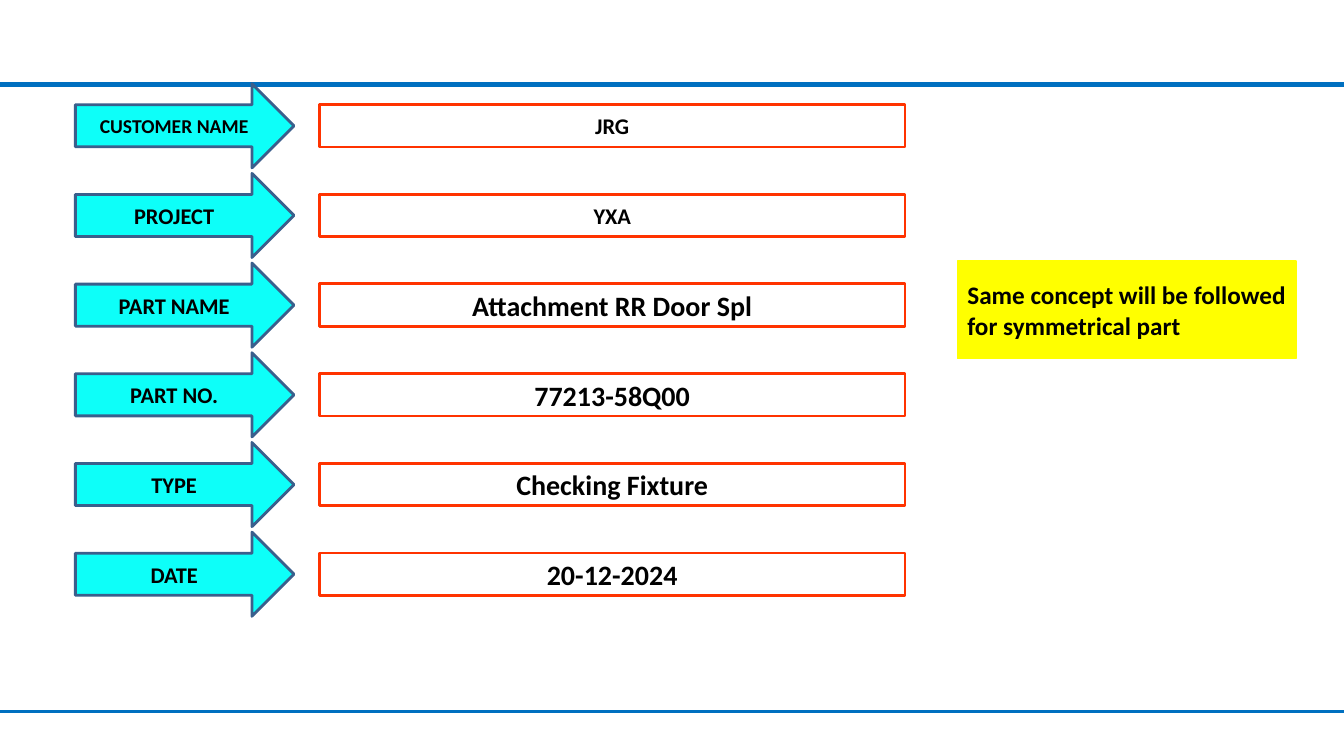
import pptx
import pptx.util
import pptx.dml.color
import pptx.enum.shapes
import pptx.enum.text
import pptx.oxml

Cm = pptx.util.Cm
Pt = pptx.util.Pt
Shapes = pptx.enum.shapes.MSO_SHAPE
Align = pptx.enum.text.PP_ALIGN

SLIDE_WIDTH, SLIDE_HEIGHT = 33.87, 19.05
ROW_PITCH = 2.26
ARROW_WIDTH, ARROW_HEIGHT = 5.51, 2.12
VALUE_INDENT, VALUE_HEIGHT = 6.15, 1.07
DETAILS = [
    ("CUSTOMER NAME", 14, "JRG", 16),
    ("PROJECT", 16, "YXA", 16),
    ("PART NAME", 16, "Attachment RR Door Spl", 20),
    ("PART NO.", 16, "77213-58Q00", 20),
    ("TYPE", 16, "Checking Fixture", 20),
    ("DATE", 16, "20-12-2024", 20),
]


def color(value):
    return pptx.dml.color.RGBColor.from_string(value)


def add_rule(slide, top, weight):
    rule = slide.shapes.add_connector(
        pptx.enum.shapes.MSO_CONNECTOR.STRAIGHT,
        Cm(0), Cm(top), Cm(SLIDE_WIDTH), Cm(top))
    rule.line.color.rgb = color("0070C0")
    rule.line.width = Pt(weight)
    rule._element.spPr.append(pptx.oxml.parse_xml(
        '<a:effectLst xmlns:a="http://schemas.openxmlformats.org/drawingml/2006/main"/>'))


def add_box(slide, kind, box, text, size, fill, line, weight, align=Align.CENTER):
    shape = slide.shapes.add_shape(kind, *(Cm(length) for length in box))
    shape.shadow.inherit = False
    if fill:
        shape.fill.solid()
        shape.fill.fore_color.rgb = color(fill)
    else:
        shape.fill.background()
    shape.line.color.rgb = color(line)
    shape.line.width = Pt(weight)
    frame = shape.text_frame
    frame.word_wrap = True
    frame.vertical_anchor = pptx.enum.text.MSO_ANCHOR.MIDDLE
    para = frame.paragraphs[0]
    para.text = text
    para.alignment = align
    para.font.name = "Calibri"
    para.font.size = Pt(size)
    para.font.bold = True
    para.font.color.rgb = color("000000")
    return shape


def add_details(slide, left, top, width):
    value_left = left + VALUE_INDENT
    value_width = width - VALUE_INDENT
    value_offset = (ARROW_HEIGHT - VALUE_HEIGHT) / 2
    for index, (label, label_size, value, value_size) in enumerate(DETAILS):
        row_top = top + index * ROW_PITCH
        add_box(slide, Shapes.RIGHT_ARROW, (left, row_top, ARROW_WIDTH, ARROW_HEIGHT),
                label, label_size, "0DFFF9", "3A5F8C", 2)
        add_box(slide, Shapes.RECTANGLE,
                (value_left, row_top + value_offset, value_width, VALUE_HEIGHT),
                value, value_size, None, "FF3300", 2)


def add_note(slide, left, top, width, height):
    note = add_box(slide, Shapes.RECTANGLE, (left, top, width, height),
                   "Same concept will be followed for symmetrical part",
                   18, "FFFF00", "FFFF00", 1, Align.LEFT)
    note.text_frame.margin_right = Cm(0.15)


def main():
    deck = pptx.Presentation()
    deck.slide_width = Cm(SLIDE_WIDTH)
    deck.slide_height = Cm(SLIDE_HEIGHT)
    page = deck.slides.add_slide(deck.slide_layouts[6])
    add_rule(page, 2.13, 3)
    add_rule(page, 17.93, 2.25)
    add_details(page, 1.9, 2.11, 20.91)
    add_note(page, 24.13, 6.58, 8.53, 2.46)
    deck.save("out.pptx")


if __name__ == "__main__":
    main()
